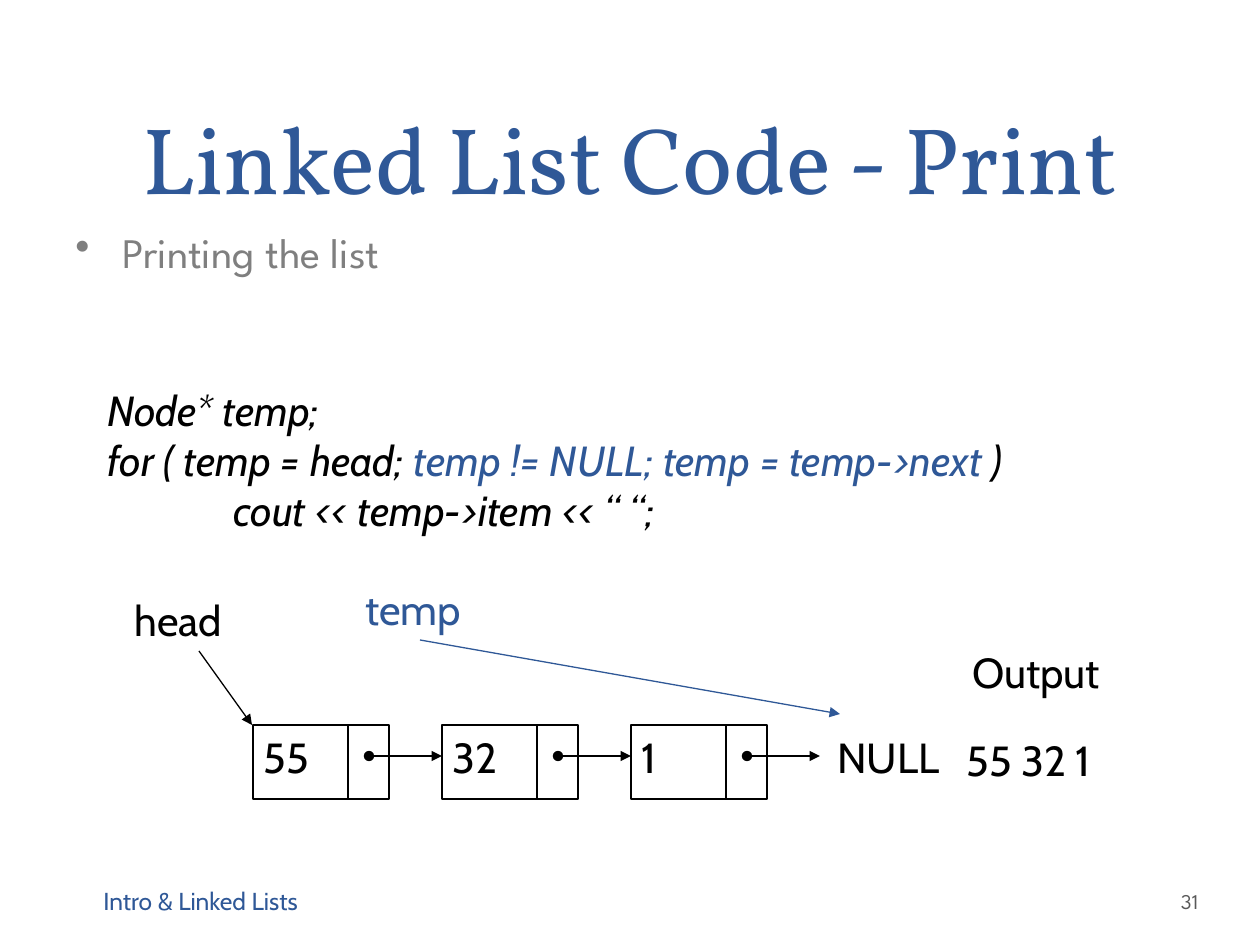
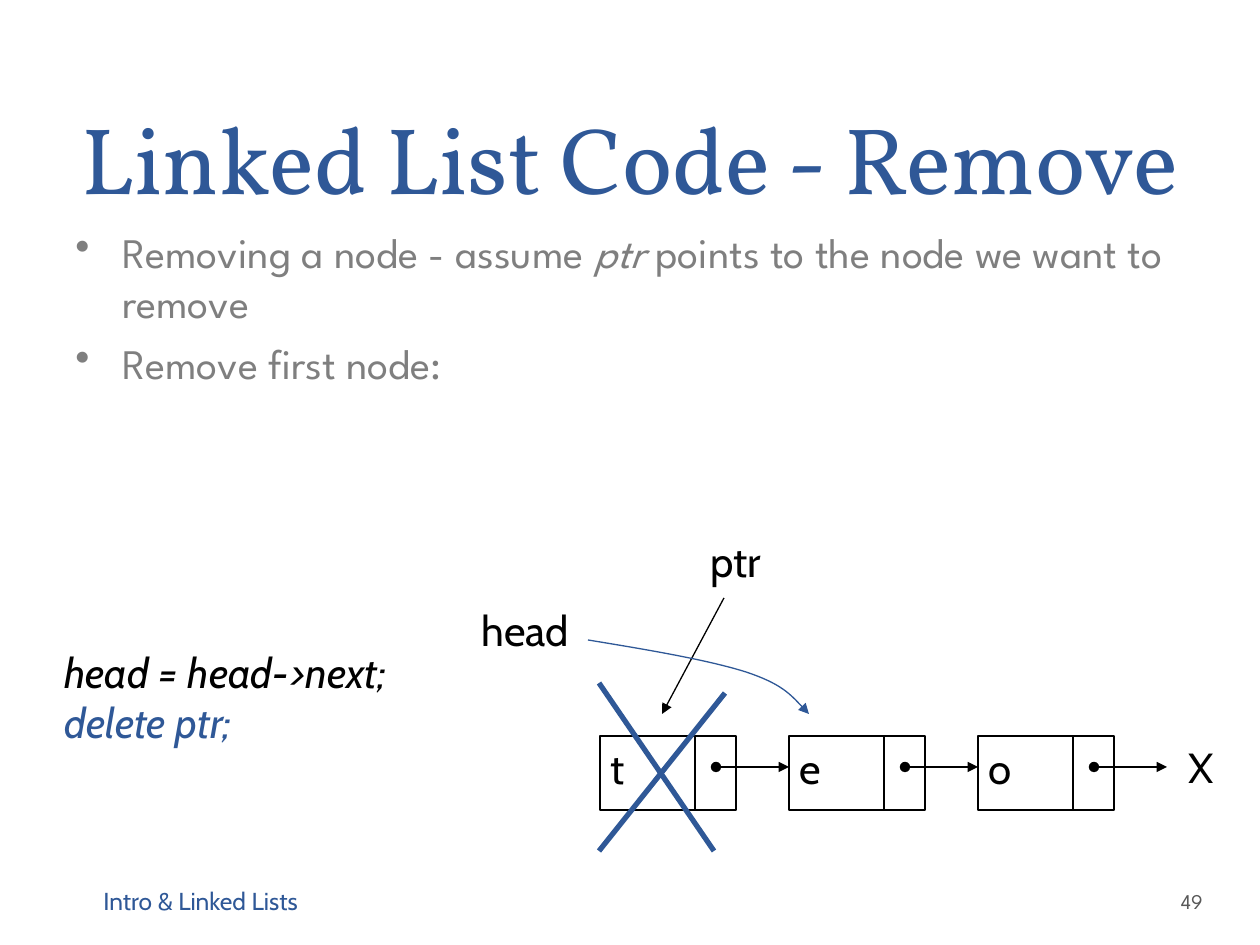
"""Build two slides about printing and removing nodes of a linked list."""
from dataclasses import dataclass

from pptx import Presentation
from pptx.dml.color import RGBColor
from pptx.enum.shapes import MSO_CONNECTOR, MSO_SHAPE
from pptx.enum.text import MSO_ANCHOR, MSO_AUTO_SIZE, PP_ALIGN
from pptx.oxml.ns import qn
from pptx.oxml.xmlchemy import OxmlElement
from pptx.util import Emu, Pt

PX_PER_INCH = 126


def px(n: int) -> Emu:
    return Emu(round(n * 914400 / PX_PER_INCH))


@dataclass(frozen=True)
class Style:
    font: str
    size: int
    color: str


@dataclass(frozen=True)
class Theme:
    blue: str = "2F5897"
    black: str = "000000"
    gray: str = "7F7F7F"
    thin: float = 0.75
    thick: float = 3
    title_leading: int = 58
    bullet_gap: int = 6
    title: Style = Style("Vollkorn", 54, "2F5897")
    bullet: Style = Style("League Spartan", 24, "7F7F7F")
    body: Style = Style("Cabin", 24, "000000")
    footer: Style = Style("Cabin", 14, "2F5897")
    number: Style = Style("League Spartan", 12, "595959")


THEME = Theme()


@dataclass(frozen=True)
class Box:
    x: int
    y: int
    w: int
    h: int


@dataclass(frozen=True)
class Run:
    text: str
    color: str | None = None
    italic: bool = False


@dataclass(frozen=True)
class Line:
    x1: int
    y1: int
    x2: int
    y2: int
    color: str = THEME.black
    width: float = THEME.thin
    head: str | None = None
    tail: str | None = None


@dataclass(frozen=True)
class Label:
    text: str
    box: Box
    color: str = THEME.black


@dataclass(frozen=True)
class Node:
    text: str
    label_w: int


TITLE_BOX = Box(63, 0, 1134, 220)
BULLET_BOX = Box(63, 220, 1134, 624)
FOOTER_BOX = Box(91, 876, 392, 50)
NUMBER_BOX = Box(1177, 876, 77, 50)
BULLET_INDENT = 47
CODE_INDENT = 126
LABEL_H = 63
NODE_W, NODE_H, NODE_PITCH = 136, 74, 189
DIVIDER_DX, POINTER_DX, POINTER_DY = 95, 116, 31


def add_box(s, box: Box, wrap: bool = True, anchor=MSO_ANCHOR.TOP):
    tf = s.shapes.add_textbox(px(box.x), px(box.y), px(box.w), px(box.h)).text_frame
    tf.word_wrap = wrap
    tf.auto_size = MSO_AUTO_SIZE.NONE if wrap else MSO_AUTO_SIZE.SHAPE_TO_FIT_TEXT
    tf.vertical_anchor = anchor
    return tf


def add_run(p, run: Run, style: Style) -> None:
    r = p.add_run()
    r.text = run.text
    r.font.name = style.font
    r.font.size = Pt(style.size)
    r.font.italic = run.italic
    r.font.color.rgb = RGBColor.from_string(run.color or style.color)


def add_paragraph(tf, runs: list[Run], style: Style, first: bool):
    p = tf.paragraphs[0] if first else tf.add_paragraph()
    for run in runs:
        add_run(p, run, style)
    return p


def add_bullets(s, items: list[list[Run]]) -> None:
    tf = add_box(s, BULLET_BOX)
    for i, runs in enumerate(items):
        p = add_paragraph(tf, runs, THEME.bullet, i == 0)
        if i:
            p.space_before = Pt(THEME.bullet_gap)
        pPr = p._p.get_or_add_pPr()
        pPr.set("marL", str(px(BULLET_INDENT)))
        pPr.set("indent", str(-px(BULLET_INDENT)))
        clr = OxmlElement("a:buClr")
        rgb = OxmlElement("a:srgbClr")
        rgb.set("val", THEME.gray)
        clr.append(rgb)
        char = OxmlElement("a:buChar")
        char.set("char", "•")
        pPr.extend([clr, char])


def add_code(s, box: Box, lines: list[list[Run]], indented: tuple[int, ...] = (),
             wrap: bool = True) -> None:
    tf = add_box(s, box, wrap)
    for i, runs in enumerate(lines):
        p = add_paragraph(tf, runs, THEME.body, i == 0)
        if i in indented:
            p._p.get_or_add_pPr().set("marL", str(px(CODE_INDENT)))


def add_label(s, label: Label) -> None:
    tf = add_box(s, label.box, wrap=False)
    add_paragraph(tf, [Run(label.text, label.color)], THEME.body, True)


def style_line(sp, color: str, width: float, head: str | None, tail: str | None) -> None:
    sp.line.color.rgb = RGBColor.from_string(color)
    sp.line.width = Pt(width)
    ln = sp.line._get_or_add_ln()
    for tag, kind in (("a:headEnd", head), ("a:tailEnd", tail)):
        if kind:
            end = OxmlElement(tag)
            end.set("type", kind)
            ln.append(end)


def add_line(s, line: Line) -> None:
    sp = s.shapes.add_connector(MSO_CONNECTOR.STRAIGHT, px(line.x1), px(line.y1),
                                px(line.x2), px(line.y2))
    style_line(sp, line.color, line.width, line.head, line.tail)
    sp._element.spPr.append(OxmlElement("a:effectLst"))


def add_curve(s, points: list[tuple[int, int]], color: str) -> None:
    """Draw cubic curves: a start point, then three points for each curve."""
    start, *rest = [(px(x), px(y)) for x, y in points]
    builder = s.shapes.build_freeform(*start)
    builder.add_line_segments(rest, close=False)
    sp = builder.convert_to_shape()
    segments = sp._element.findall(".//" + qn("a:lnTo"))
    for i in range(0, len(segments), 3):
        bezier = OxmlElement("a:cubicBezTo")
        segments[i].addprevious(bezier)
        for segment in segments[i:i + 3]:
            bezier.append(segment[0])
            segment.getparent().remove(segment)
    sp.shadow.inherit = False
    sp.fill.background()
    style_line(sp, color, THEME.thin, None, "triangle")


def add_list(s, x: int, y: int, nodes: list[Node]) -> None:
    for i, node in enumerate(nodes):
        left = x + i * NODE_PITCH
        sp = s.shapes.add_shape(MSO_SHAPE.RECTANGLE, px(left), px(y), px(NODE_W), px(NODE_H))
        sp.shadow.inherit = False
        sp.fill.background()
        style_line(sp, THEME.black, THEME.thin, None, None)
        add_label(s, Label(node.text, Box(left - 2, y, node.label_w, LABEL_H)))
        divider = left + DIVIDER_DX
        add_line(s, Line(divider, y, divider, y + NODE_H))
        pointer_y = y + POINTER_DY
        add_line(s, Line(left + POINTER_DX, pointer_y, left + NODE_PITCH, pointer_y,
                         head="oval", tail="triangle"))


def add_slide(prs, title: str, number: str, bullets: list[list[Run]]):
    s = prs.slides.add_slide(prs.slide_layouts[6])
    tf = add_box(s, TITLE_BOX, anchor=MSO_ANCHOR.BOTTOM)
    p = add_paragraph(tf, [Run(title)], THEME.title, True)
    p.alignment = PP_ALIGN.CENTER
    p.line_spacing = Pt(THEME.title_leading)
    add_bullets(s, bullets)
    tf = add_box(s, FOOTER_BOX, anchor=MSO_ANCHOR.MIDDLE)
    add_paragraph(tf, [Run("Intro & Linked Lists")], THEME.footer, True)
    tf = add_box(s, NUMBER_BOX, anchor=MSO_ANCHOR.MIDDLE)
    tf.margin_left, tf.margin_right = px(4), px(6)
    add_paragraph(tf, [Run(number)], THEME.number, True)
    return s


def build_print(prs) -> None:
    s = add_slide(prs, "Linked List Code - Print", "31", [[Run("Printing the list")]])
    add_code(s, Box(95, 378, 1134, 164), [
        [Run("Node* temp;", italic=True)],
        [Run("for ( temp = head; ", italic=True),
         Run("temp != NULL; temp = temp->next", THEME.blue, True),
         Run(" )", italic=True)],
        [Run("cout << temp->item << “ “;", italic=True)],
    ], indented=(2,))
    add_list(s, 253, 725, [Node("55", 73), Node("32", 73), Node("1", 49)])
    for label in (
        Label("head", Box(122, 588, 123, LABEL_H)),
        Label("NULL", Box(825, 725, 131, LABEL_H)),
        Label("Output", Box(960, 640, 166, LABEL_H)),
        Label("temp", Box(353, 577, 129, LABEL_H), THEME.blue),
        Label("55 32 1", Box(954, 728, 178, LABEL_H)),
    ):
        add_label(s, label)
    add_line(s, Line(199, 651, 252, 725, tail="triangle"))
    add_line(s, Line(420, 640, 840, 714, THEME.blue, tail="triangle"))


def build_remove(prs) -> None:
    s = add_slide(prs, "Linked List Code - Remove", "49", [
        [Run("Removing a node - assume "), Run("ptr", italic=True),
         Run(" points to the node we want to remove")],
        [Run("Remove first node:")],
    ])
    add_list(s, 600, 736, [Node("t", 40), Node("e", 49), Node("o", 50)])
    for label in (
        Label("head", Box(469, 598, 123, LABEL_H)),
        Label("X", Box(1176, 735, 49, LABEL_H)),
        Label("ptr", Box(698, 529, 83, LABEL_H)),
    ):
        add_label(s, label)
    add_line(s, Line(724, 598, 662, 714, tail="triangle"))
    add_code(s, Box(52, 640, 386, 113), [
        [Run("head = head->next;", italic=True)],
        [Run("delete ptr;", THEME.blue, True)],
    ], wrap=False)
    add_curve(s, [(588, 640), (649, 650), (708, 660), (746, 672),
                  (782, 684), (795, 699), (809, 714)], THEME.blue)
    add_line(s, Line(599, 683, 714, 851, THEME.blue, THEME.thick))
    add_line(s, Line(725, 693, 599, 851, THEME.blue, THEME.thick))


def main() -> None:
    prs = Presentation()
    prs.slide_width, prs.slide_height = px(1260), px(945)
    build_print(prs)
    build_remove(prs)
    prs.save("out.pptx")


if __name__ == "__main__":
    main()
